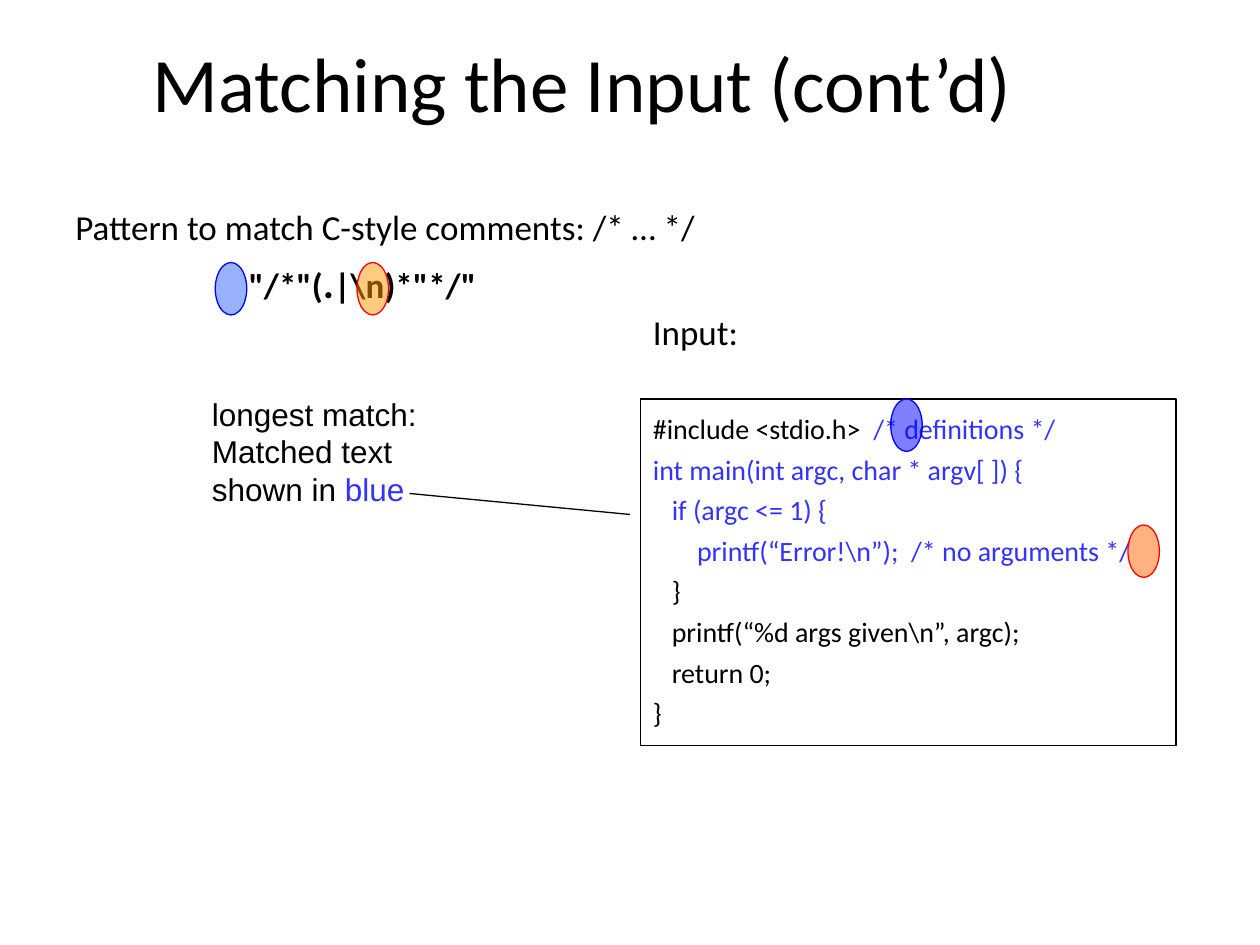
from lxml import etree
from pptx import Presentation
from pptx.dml.color import RGBColor
from pptx.enum.shapes import MSO_CONNECTOR, MSO_SHAPE
from pptx.enum.text import MSO_ANCHOR, PP_ALIGN
from pptx.oxml.ns import qn
from pptx.util import Pt

RECT, OVAL = MSO_SHAPE.RECTANGLE, MSO_SHAPE.OVAL
STRAIGHT = MSO_CONNECTOR.STRAIGHT
TOP, MIDDLE = MSO_ANCHOR.TOP, MSO_ANCHOR.MIDDLE
LEFT, CENTER = PP_ALIGN.LEFT, PP_ALIGN.CENTER
BLACK, BLUE = "000000", "3333FF"


def rgb(value):
    return RGBColor.from_string(value)


def write(tf, paragraphs, size, font="Calibri", before=0, align=LEFT, anchor=TOP):
    """Fill a frame; each paragraph is a list of (text, colour) runs."""
    tf.word_wrap = True
    tf.vertical_anchor = anchor
    for i, runs in enumerate(paragraphs):
        p = tf.add_paragraph() if i else tf.paragraphs[0]
        p.alignment = align
        p.space_before = Pt(before if i else 0)
        p.font.size = Pt(size)
        p.font.name = font
        for text, color in runs:
            r = p.add_run()
            r.text = text
            r.font.color.rgb = rgb(color)


prs = Presentation()
prs.slide_width, prs.slide_height = Pt(720), Pt(540)
s = prs.slides.add_slide(prs.slide_layouts[6])

# Title
tb = s.shapes.add_textbox(Pt(36), Pt(9.5), Pt(594), Pt(74))
write(tb.text_frame, [[("Matching the Input (cont’d)", BLACK)]], 44,
      align=CENTER, anchor=MIDDLE)

# Pattern, with the regular expression indented and bold
tb = s.shapes.add_textbox(Pt(36), Pt(114), Pt(396), Pt(66))
pattern = [('"/*"(', BLACK), (".", BLACK), ('|\\n)*"*/"', BLACK)]
write(tb.text_frame,
      [[("Pattern to match C-style comments: /* … */", BLACK)], pattern],
      20, before=5)
p = tb.text_frame.paragraphs[1]
p.font.bold = True
p.runs[1].font.size = Pt(24)
p._p.get_or_add_pPr().set("marL", str(Pt(99)))

# Input program
tb = s.shapes.add_textbox(Pt(366), Pt(174), Pt(306), Pt(36))
write(tb.text_frame, [[("Input:", BLACK)]], 20)

code = [
    [("#include <stdio.h>  ", BLACK), ("/* definitions */", BLUE)],
    [("int main(int argc, char * argv[ ]) {", BLUE)],
    [("   if (argc <= 1) {", BLUE)],
    [("       printf(“Error!\\n”);  /* no arguments */", BLUE)],
    [("   }", BLACK)],
    [("   printf(“%d args given\\n”, argc);", BLACK)],
    [("   return 0;", BLACK)],
    [("}", BLACK)],
]
box = s.shapes.add_shape(RECT, Pt(366), Pt(228), Pt(306), Pt(198))
box.shadow.inherit = False
box.fill.background()
box.line.color.rgb = rgb(BLACK)
box.line.width = Pt(0.75)
box.text_frame.margin_top = Pt(7.2)
write(box.text_frame, code, 16, before=4)

# Translucent markers on the start and end of the match
markers = [
    (123, 150, "3366FF", "0000FF"),
    (204, 150, "FF9900", "FF0000"),
    (509, 228, "0000FF", "0000FF"),
    (644.5, 300, "FF6600", "FF0000"),
]
for x, y, fill, line in markers:
    sp = s.shapes.add_shape(OVAL, Pt(x), Pt(y), Pt(18), Pt(30))
    sp.shadow.inherit = False
    sp.fill.solid()
    sp.fill.fore_color.rgb = rgb(fill)
    color = sp._element.spPr.find(qn("a:solidFill")).find(qn("a:srgbClr"))
    etree.SubElement(color, qn("a:alpha"), val="50000")
    sp.line.color.rgb = rgb(line)
    sp.line.width = Pt(0.75)

# Explanation and its pointer to the code
tb = s.shapes.add_textbox(Pt(114), Pt(222), Pt(138), Pt(72))
write(tb.text_frame,
      [[("longest match:", BLACK)],
       [("Matched text shown in ", BLACK), ("blue", BLUE)]],
      18, font="Arial")

pointer = s.shapes.add_connector(STRAIGHT, Pt(234), Pt(282), Pt(360), Pt(294))
pointer.line.color.rgb = rgb(BLACK)
pointer.line.width = Pt(0.75)
etree.SubElement(pointer._element.spPr, qn("a:effectLst"))

prs.save("out.pptx")
